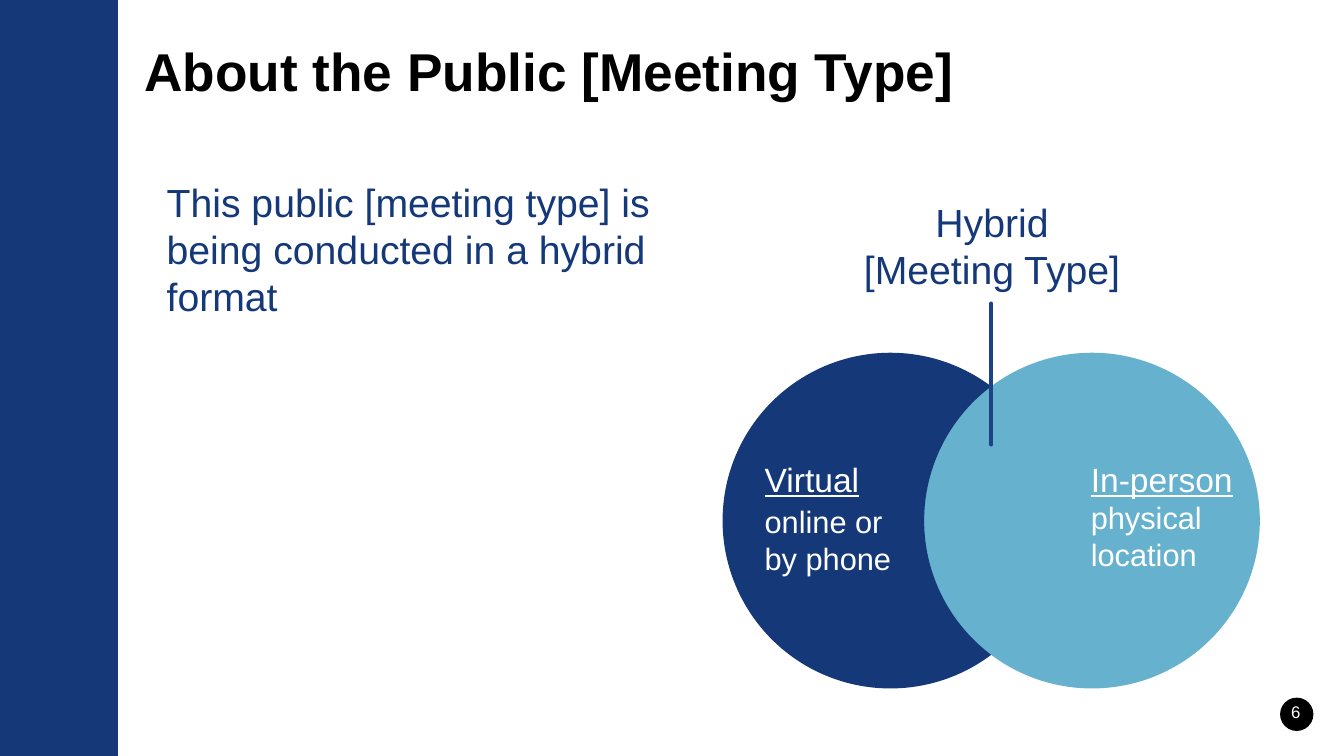
from math import acos, degrees

from lxml.etree import SubElement
from pptx import Presentation
from pptx.dml.color import RGBColor
from pptx.enum.dml import MSO_PATTERN
from pptx.enum.shapes import MSO_CONNECTOR, MSO_SHAPE
from pptx.enum.text import MSO_ANCHOR, MSO_AUTO_SIZE, PP_ALIGN
from pptx.oxml.ns import qn
from pptx.util import Cm, Pt

NAVY = RGBColor(0x15, 0x38, 0x79)
STEEL = RGBColor(0x1F, 0x42, 0x84)
SKY = RGBColor(0x66, 0xB1, 0xCE)
BLACK = RGBColor(0, 0, 0)
WHITE = RGBColor(255, 255, 255)
RECTANGLE, OVAL = MSO_SHAPE.RECTANGLE, MSO_SHAPE.OVAL
STRAIGHT = MSO_CONNECTOR.STRAIGHT
STRIPES = MSO_PATTERN.DARK_HORIZONTAL
LEFT, CENTER = PP_ALIGN.LEFT, PP_ALIGN.CENTER
TOP, MIDDLE = MSO_ANCHOR.TOP, MSO_ANCHOR.MIDDLE
NO_FIT = MSO_AUTO_SIZE.NONE

FONT = "Arial"
MIDDLE_X, MIDDLE_Y = 24.98, 13.12
RADIUS, OFFSET = 4.23, 2.54
HALF_HEIGHT = (RADIUS ** 2 - OFFSET ** 2) ** 0.5
CORNER = degrees(acos(OFFSET / RADIUS))


def write(para, text, size, color, bold=False, underline=False):
    """Add a formatted span of text to a paragraph."""
    span = para.add_run()
    span.text = text
    font = span.font
    font.name, font.size, font.bold = FONT, Pt(size), bold
    font.underline = underline
    font.color.rgb = color


class SlideBuilder:
    """Draw styled elements on one slide."""

    def __init__(self, deck):
        """Add a title and content page to the deck."""
        self.page = deck.slides.add_slide(deck.slide_layouts[1])

    def place(self, holder, left, top, width, height):
        """Move a placeholder and return its first paragraph."""
        holder.left, holder.top = Cm(left), Cm(top)
        holder.width, holder.height = Cm(width), Cm(height)
        frame = holder.text_frame
        frame.word_wrap, frame.auto_size = True, NO_FIT
        frame.vertical_anchor = TOP
        para = frame.paragraphs[0]
        para.alignment, para.space_before = LEFT, Pt(0)
        return para

    def title(self, text, *bounds):
        """Fill the title placeholder."""
        write(self.place(self.page.shapes.title, *bounds), text, 38, BLACK, bold=True)

    def body(self, text, *bounds):
        """Fill the body placeholder with an unbulleted paragraph."""
        holder = self.page.placeholders[1]
        para = self.place(holder, *bounds)
        frame = holder.text_frame
        frame.margin_left, frame.margin_top = Cm(0.51), Cm(0.25)
        frame.margin_bottom = Cm(0.76)
        para.space_after = Pt(15)
        properties = para._p.get_or_add_pPr()
        properties.set("marL", "0")
        properties.set("indent", "0")
        SubElement(properties, qn("a:buNone"))
        write(para, text, 28, NAVY)

    def finish(self, shape, color):
        """Give a shape a plain fill without line or shadow."""
        shape.shadow.inherit = False
        shape.line.fill.background()
        shape.fill.solid()
        shape.fill.fore_color.rgb = color
        return shape

    def shape(self, kind, color, *bounds):
        """Add a filled preset shape."""
        return self.finish(self.page.shapes.add_shape(kind, *map(Cm, bounds)), color)

    def striped_oval(self, *bounds):
        """Add the patterned oval that shows in the overlap."""
        fill = self.shape(OVAL, SKY, *bounds).fill
        fill.patterned()
        fill.pattern = STRIPES
        fill.fore_color.rgb, fill.back_color.rgb = SKY, STEEL

    def crescent(self, side, color):
        """Add one circle less its overlap; side is -1 for left, 1 for right."""
        extremes = ((0, -HALF_HEIGHT), (OFFSET, -RADIUS), (OFFSET + RADIUS, 0),
                    (OFFSET, RADIUS), (0, HALF_HEIGHT))
        points = [(Cm(MIDDLE_X + side * x), Cm(MIDDLE_Y + y)) for x, y in extremes]
        builder = self.page.shapes.build_freeform(*points[0], scale=1.0)
        builder.add_line_segments(points[1:], close=True)
        shape = self.finish(builder.convert_to_shape(), color)
        outline = next(shape._element.iter(qn("a:path")))
        for segment in outline.findall(qn("a:lnTo")):
            outline.remove(segment)
        closing = outline.find(qn("a:close"))
        outer_start = 180 + CORNER if side > 0 else 360 - CORNER
        inner_start = CORNER if side > 0 else 180 - CORNER
        arcs = ((outer_start, side * (360 - 2 * CORNER)),
                (inner_start, -side * 2 * CORNER))
        for start, sweep in arcs:
            arc = SubElement(outline, qn("a:arcTo"))
            arc.set("wR", str(int(Cm(RADIUS))))
            arc.set("hR", str(int(Cm(RADIUS))))
            arc.set("stAng", str(round(start * 60000)))
            arc.set("swAng", str(round(sweep * 60000)))
            closing.addprevious(arc)

    def text(self, paragraphs, *bounds, color=WHITE, align=LEFT, anchor=TOP, gap=0):
        """Add a text box; each paragraph lists (text, size, underline) spans."""
        frame = self.page.shapes.add_textbox(*map(Cm, bounds)).text_frame
        frame.word_wrap, frame.vertical_anchor = True, anchor
        for index, spans in enumerate(paragraphs):
            para = frame.add_paragraph() if index else frame.paragraphs[0]
            para.alignment = align
            if index == 0:
                para.space_after = Pt(gap)
            for text, size, underline in spans:
                write(para, text, size, color, underline=underline)

    def line(self, color, weight, *ends):
        """Add a straight line with round ends."""
        connector = self.page.shapes.add_connector(STRAIGHT, *map(Cm, ends))
        connector.line.color.rgb, connector.line.width = color, Pt(weight)
        properties = connector._element.spPr
        properties.find(qn("a:ln")).set("cap", "rnd")
        SubElement(properties, qn("a:effectLst"))


def main():
    """Build and save the meeting format slide."""
    deck = Presentation()
    deck.slide_width, deck.slide_height = Cm(33.87), Cm(19.05)
    slide = SlideBuilder(deck)
    slide.shape(RECTANGLE, NAVY, 0, 0, 2.97, 19.05)
    slide.title("About the Public [Meeting Type]", 3.38, 0.84, 29.85, 1.47)
    slide.body("This public [meeting type] is being conducted in a hybrid format",
               3.69, 4.24, 14.1, 13.34)

    slide.striped_oval(20.96, 9.73, 8.46, 6.78)
    slide.crescent(1, SKY)
    slide.crescent(-1, NAVY)

    slide.text([[("In-person ", 24, True), ("physical location", 22, False)]],
               27.24, 11.43, 4.72, 3.18, gap=3)
    slide.text([[("Hybrid", 28, False)], [("[Meeting Type]", 28, False)]],
               19.27, 4.88, 11.46, 2.64, color=NAVY, align=CENTER)
    slide.text([[("Virtual", 24, True)], [("online or by phone", 22, False)]],
               19.02, 11.43, 4.06, 3.28, gap=3)
    slide.line(STEEL, 3, MIDDLE_X, 7.65, MIDDLE_X, 11.2)

    slide.shape(OVAL, BLACK, 32.26, 17.58, 0.84, 0.84)
    slide.text([[(" 6", 12, False)]], 31.96, 17.56, 1.27, 0.76,
               align=CENTER, anchor=MIDDLE)
    deck.save("out.pptx")


if __name__ == "__main__":
    main()
